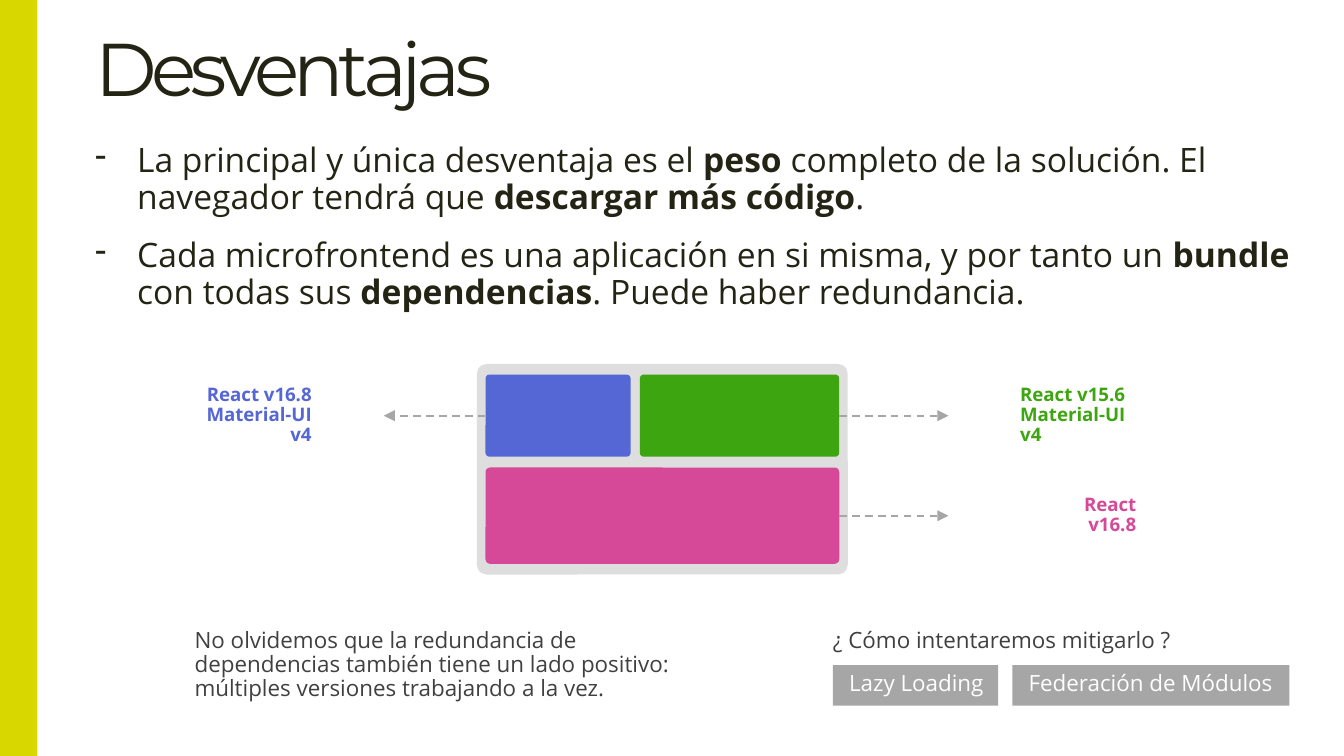
from dataclasses import dataclass

from lxml.etree import SubElement
from pptx import Presentation
from pptx.dml.color import RGBColor
from pptx.enum.dml import MSO_LINE
from pptx.enum.shapes import MSO_CONNECTOR, MSO_SHAPE
from pptx.enum.text import MSO_ANCHOR, PP_ALIGN
from pptx.oxml.ns import qn
from pptx.util import Pt


@dataclass(frozen=True)
class Theme:
    """Colours, fonts and type sizes of the slide."""
    ink: str = "242415"
    soft: str = "404040"
    white: str = "FFFFFF"
    lime: str = "D8D800"
    grey: str = "A6A6A6"
    frame: str = "7F7F7F"
    blue: str = "5567D5"
    green: str = "3DA510"
    pink: str = "D54998"
    head: str = "Montserrat"
    body: str = "Open Sans"
    title: int = 40
    lead: int = 18
    note: int = 12
    label: int = 10


THEME = Theme()


def rgb(code):
    """Turn a hex code into a colour."""
    return RGBColor.from_string(code)


def write(shape, text, size=THEME.note, color=THEME.soft, font=THEME.body,
          bold=False, align=PP_ALIGN.LEFT, anchor=MSO_ANCHOR.TOP, wrap=True,
          left=8.64, right=7.2, after=0, bullet=None, track=0):
    """Fill a shape with lines of text; parts between ** are bold."""
    frame = shape.text_frame
    frame.word_wrap = wrap
    frame.vertical_anchor = anchor
    frame.margin_left, frame.margin_right = Pt(left), Pt(right)
    frame.margin_top = frame.margin_bottom = Pt(3.6)
    for row, line in enumerate(text.split("\n")):
        para = frame.paragraphs[0] if row == 0 else frame.add_paragraph()
        para.alignment = align
        para.line_spacing = 0.9
        para.space_before, para.space_after = Pt(0), Pt(after)
        if bullet:
            props = para._p.get_or_add_pPr()
            props.set("marL", str(Pt(22.5)))
            props.set("indent", str(-Pt(22.5)))
            SubElement(props, qn("a:buChar")).set("char", bullet)
        for turn, part in enumerate(line.split("**")):
            run = para.add_run()
            run.text = part
            run.font.name, run.font.size = font, Pt(size)
            run.font.bold = bold or turn % 2 == 1
            run.font.color.rgb = rgb(color)
            if track:
                run._r.get_or_add_rPr().set("spc", str(track * 100))


def label(slide, box, text, **style):
    """Add a text box."""
    shape = slide.shapes.add_textbox(*map(Pt, box))
    write(shape, text, **style)


def block(slide, box, color, kind=MSO_SHAPE.RECTANGLE, alpha=None):
    """Add a plain filled shape without an outline."""
    shape = slide.shapes.add_shape(kind, *map(Pt, box))
    shape.shadow.inherit = False
    shape.fill.solid()
    shape.fill.fore_color.rgb = rgb(color)
    shape.line.fill.background()
    if kind == MSO_SHAPE.ROUNDED_RECTANGLE:
        shape.adjustments[0] = 0.047
    if alpha:
        tint = shape._element.spPr.find(qn("a:solidFill"))[0]
        SubElement(tint, qn("a:alpha")).set("val", str(alpha * 1000))
    return shape


def arrow(slide, start, end, top):
    """Add a dashed level arrow."""
    line = slide.shapes.add_connector(
        MSO_CONNECTOR.STRAIGHT, Pt(start), Pt(top), Pt(end), Pt(top))
    line.line.color.rgb = rgb(THEME.grey)
    line.line.width = Pt(1)
    line.line.dash_style = MSO_LINE.DASH
    SubElement(line.line._get_or_add_ln(), qn("a:tailEnd")).set("type", "triangle")
    SubElement(line._element.spPr, qn("a:effectLst"))


def intro(slide, box):
    """Place the title and the bullet list."""
    left, top, wide, high = box
    label(slide, (left, top, wide, 64), "Desventajas", size=THEME.title,
          color=THEME.ink, font=THEME.head, anchor=MSO_ANCHOR.BOTTOM,
          left=0, track=-3)
    label(slide, (left, top + 73.5, wide, high - 73.5),
          "La principal y única desventaja es el **peso** completo de la "
          "solución. El navegador tendrá que **descargar más código**.\n"
          "Cada microfrontend es una aplicación en si misma, y por tanto un "
          "**bundle** con todas sus **dependencias**. Puede haber redundancia.",
          size=THEME.lead, color=THEME.ink, left=0, after=12, bullet="-")


def diagram(slide, box):
    """Place the framed tiles, their arrows and their labels."""
    left, top, wide, high = box
    pad, rim, gap = 4.6, 5.7, 5
    near, far = left + pad, left + wide - pad
    split, upper = 77.7, 44
    low = top + rim + upper + gap + 0.8
    lower = top + high - rim - low
    half = near + split + gap
    tiles = [
        (THEME.blue, (near, top + rim, split, upper)),
        (THEME.pink, (near, low, far - near, lower)),
        (THEME.green, (half, top + rim, far - half, upper)),
    ]
    round_box = MSO_SHAPE.ROUNDED_RECTANGLE
    block(slide, box, THEME.frame, round_box, alpha=25)
    for color, place in tiles:
        block(slide, place, color, round_box)
    first, second = top + rim + upper / 2, low + lower / 2
    arrow(slide, near, near - 54.5, first)
    arrow(slide, far, far + 58.5, first)
    arrow(slide, far, far + 58.5, second)
    tags = [
        (near - 168.5, first, 84, "React v16.8\nMaterial-UI v4", THEME.blue, PP_ALIGN.RIGHT),
        (far + 88.3, first, 84, "React v15.6\nMaterial-UI v4", THEME.green, PP_ALIGN.LEFT),
        (far + 94.7, second, 73, "React v16.8", THEME.pink, PP_ALIGN.RIGHT),
    ]
    for side, mid, span, text, color, align in tags:
        label(slide, (side, mid - 12.5, span, 25), text, size=THEME.label,
              color=color, bold=True, align=align, anchor=MSO_ANCHOR.MIDDLE,
              wrap=False, right=8.64)


def notes(slide, box):
    """Place the closing remark, the question and its two answers."""
    left, top, wide, high = box
    write(block(slide, (left, top, 290, high), THEME.white),
          "No olvidemos que la redundancia de dependencias también tiene un "
          "lado positivo: múltiples versiones trabajando a la vez.")
    ask = left + 342
    write(block(slide, (ask, top, 199, 21.8), THEME.white),
          "¿ Cómo intentaremos mitigarlo ?", wrap=False)
    side = ask + 8.64
    for text, span in (("Lazy Loading", 88.5), ("Federación de Módulos", 148.3)):
        chip = block(slide, (side, top + 23, span, 21.8), THEME.grey)
        write(chip, text, color=THEME.white, wrap=False)
        side += span + 7.7


def main():
    """Build and save the slide."""
    deck = Presentation()
    deck.slide_width, deck.slide_height = Pt(720), Pt(405)
    slide = deck.slides.add_slide(deck.slide_layouts[6])
    block(slide, (0, 0, 20, 405), THEME.lime)
    intro(slide, (51, 0, 649.5, 180))
    diagram(slide, (255.5, 195, 198.7, 112.8))
    notes(slide, (95.6, 333.3, 596, 51.2))
    deck.save("out.pptx")


if __name__ == "__main__":
    main()
